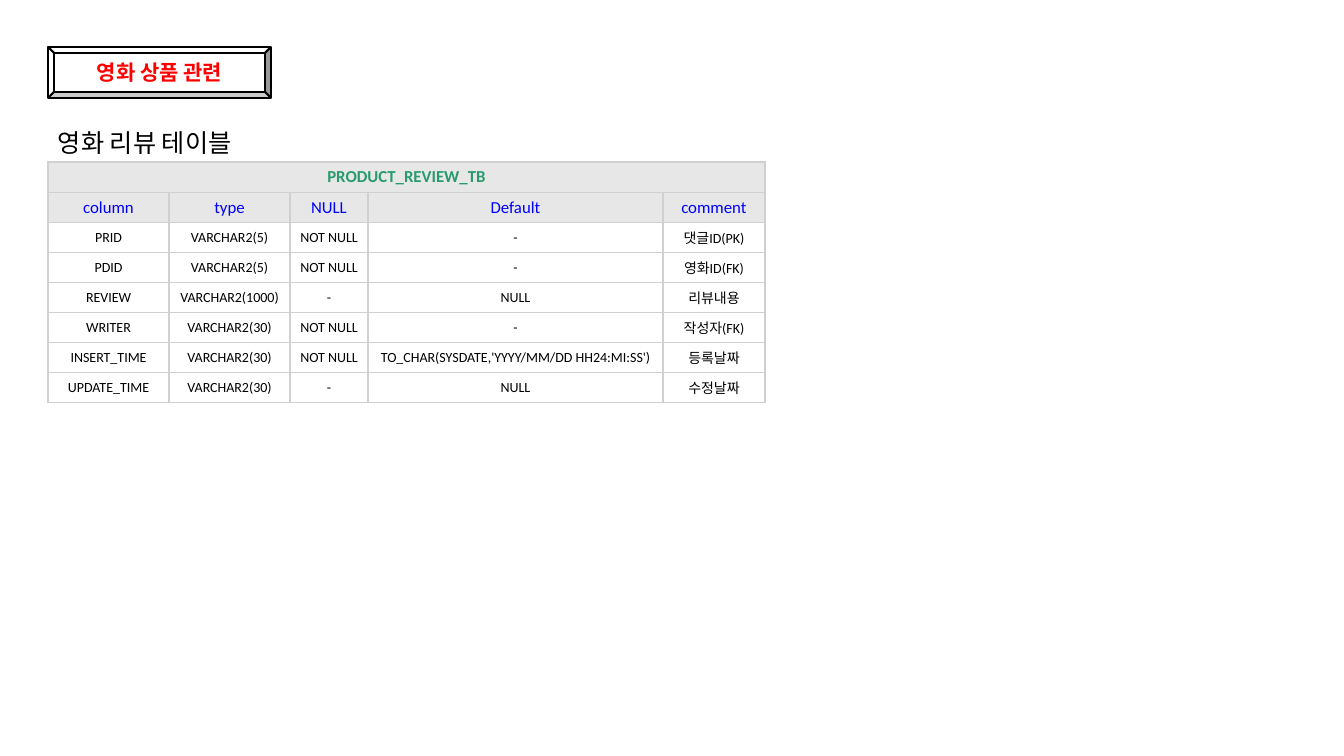
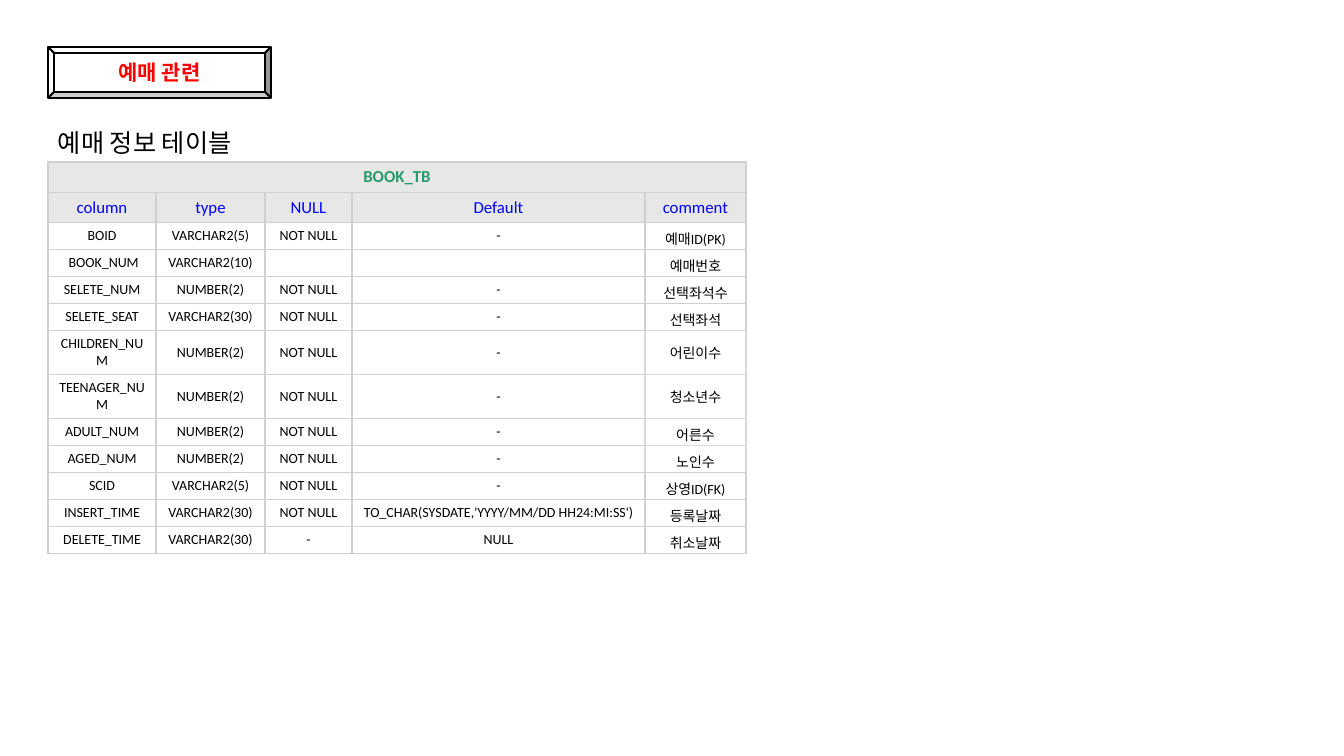
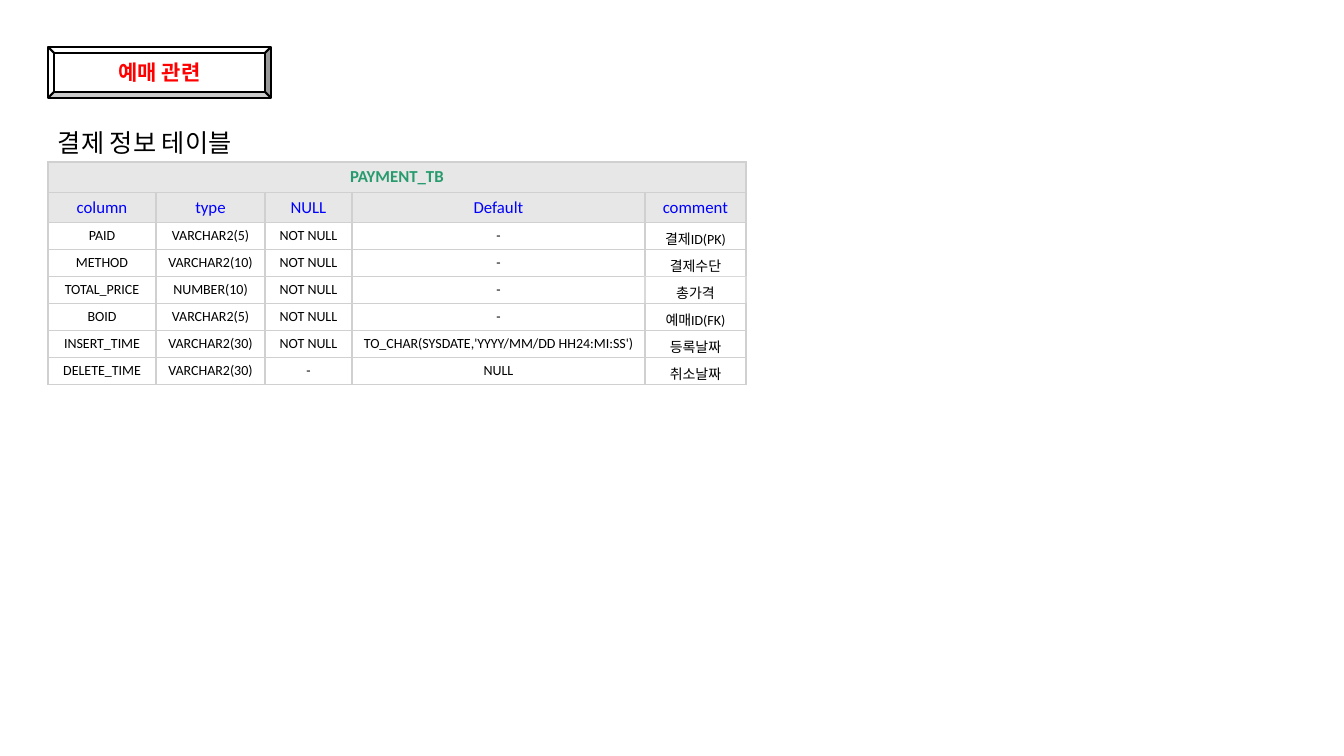
import pptx
import pptx.util
import pptx.dml.color
import pptx.enum.shapes
import pptx.enum.text
import lxml.etree
from pptx.oxml.ns import qn

SCALE = 914400 / 100.8
FONT = "Calibri"
WHITE, BLACK, RED, BLUE, GREEN = "FFFFFF", "000000", "FF0000", "0000FF", "289B6E"
GREY, EDGE, PALE = "E7E7E7", "D0D0D0", "D9D9D9"
LEFT, TOP, HEAD = 48, 162, 30
ALIGN = pptx.enum.text.PP_ALIGN
MIDDLE = pptx.enum.text.MSO_ANCHOR.MIDDLE

FIELDS = ("column", "type", "NULL", "Default", "comment")
NOW = "TO_CHAR(SYSDATE,'YYYY/MM/DD HH24:MI:SS')"
ADDED = ("INSERT_TIME", "VARCHAR2(30)", "NOT NULL", NOW, "등록날짜")
GONE = ("DELETE_TIME", "VARCHAR2(30)", "-", "NULL", "취소날짜")
WIDE = dict(cols=(121, 121, 78, 295, 102), row=30)
TIGHT = dict(cols=(108, 109, 87, 293, 101), row=27)

SLIDES = [
    dict(label="영화 상품 관련", title="영화 리뷰 테이블", name="PRODUCT_REVIEW_TB",
         grid=WIDE, tall=(), pale=(), rows=[
             ("PRID", "VARCHAR2(5)", "NOT NULL", "-", "댓글ID(PK)"),
             ("PDID", "VARCHAR2(5)", "NOT NULL", "-", "영화ID(FK)"),
             ("REVIEW", "VARCHAR2(1000)", "-", "NULL", "리뷰내용"),
             ("WRITER", "VARCHAR2(30)", "NOT NULL", "-", "작성자(FK)"),
             ADDED,
             ("UPDATE_TIME", "VARCHAR2(30)", "-", "NULL", "수정날짜"),
         ]),
    dict(label="예매 관련", title="예매 정보 테이블", name="BOOK_TB", grid=TIGHT,
         tall=("CHILDREN_NUM", "TEENAGER_NUM"),
         pale=("어린이수", "청소년수", "어른수", "노인수"), rows=[
             ("BOID", "VARCHAR2(5)", "NOT NULL", "-", "예매ID(PK)"),
             (" BOOK_NUM", "VARCHAR2(10)", "", "", "예매번호"),
             ("SELETE_NUM", "NUMBER(2)", "NOT NULL", "-", "선택좌석수"),
             ("SELETE_SEAT", "VARCHAR2(30)", "NOT NULL", "-", "선택좌석"),
             ("CHILDREN_NUM", "NUMBER(2)", "NOT NULL", "-", "어린이수"),
             ("TEENAGER_NUM", "NUMBER(2)", "NOT NULL", "-", "청소년수"),
             ("ADULT_NUM", "NUMBER(2)", "NOT NULL", "-", "어른수"),
             ("AGED_NUM", "NUMBER(2)", "NOT NULL", "-", "노인수"),
             ("SCID", "VARCHAR2(5)", "NOT NULL", "-", "상영ID(FK)"),
             ADDED, GONE,
         ]),
    dict(label="예매 관련", title="결제 정보 테이블", name="PAYMENT_TB", grid=TIGHT,
         tall=(), pale=("총가격",), rows=[
             ("PAID", "VARCHAR2(5)", "NOT NULL", "-", "결제ID(PK)"),
             ("METHOD", "VARCHAR2(10)", "NOT NULL", "-", "결제수단"),
             ("TOTAL_PRICE", "NUMBER(10)", "NOT NULL", "-", "총가격"),
             ("BOID", "VARCHAR2(5)", "NOT NULL", "-", "예매ID(FK)"),
             ADDED, GONE,
         ]),
]


def px(size):
    return pptx.util.Emu(round(size * SCALE))


def rgb(code):
    return pptx.dml.color.RGBColor.from_string(code)


def paint(shape, code):
    shape.fill.solid()
    shape.fill.fore_color.rgb = rgb(code)


def write(frame, text, size, code, bold=False, align=ALIGN.CENTER):
    frame.text = text
    para = frame.paragraphs[0]
    para.alignment = align
    for run in para.runs:
        run.font.name = FONT
        run.font.size = pptx.util.Pt(size)
        run.font.bold = bold
        run.font.color.rgb = rgb(code)
    if not text:
        # An empty cell needs its own text size, or its row grows.
        lxml.etree.SubElement(para._p, qn("a:endParaRPr"), sz=str(size * 100))


def edge(cell, code):
    """Draw a 1 pt border on all four sides; call before the fill is set."""
    props = cell._tc.get_or_add_tcPr()
    for side in ("a:lnL", "a:lnR", "a:lnT", "a:lnB"):
        line = lxml.etree.SubElement(props, qn(side), w="12700")
        fill = lxml.etree.SubElement(line, qn("a:solidFill"))
        lxml.etree.SubElement(fill, qn("a:srgbClr"), val=code)


def add_label(slide, text):
    bevel = pptx.enum.shapes.MSO_SHAPE.BEVEL
    box = slide.shapes.add_shape(bevel, px(LEFT), px(47), px(223), px(51))
    box.adjustments[0] = 0.125
    box.shadow.inherit = False
    paint(box, WHITE)
    box.line.color.rgb = rgb(BLACK)
    box.line.width = pptx.util.Pt(1.5)
    box.text_frame.vertical_anchor = MIDDLE
    write(box.text_frame, text, 15, RED, True)


def add_title(slide, text):
    box = slide.shapes.add_textbox(px(LEFT), px(122), px(300), px(40))
    box.text_frame.word_wrap = True
    write(box.text_frame, text, 18, BLACK, align=ALIGN.LEFT)


def add_grid(slide, page):
    cols, row = page["grid"]["cols"], page["grid"]["row"]
    lines = [(page["name"], "", "", "", ""), FIELDS] + page["rows"]
    highs = [HEAD, HEAD] + [44 if line[0] in page["tall"] else row
                            for line in page["rows"]]
    table = slide.shapes.add_table(len(lines), len(cols), px(LEFT), px(TOP),
                                   px(sum(cols)), px(sum(highs))).table
    table.first_row = table.horz_banding = False
    for col, wide in zip(table.columns, cols):
        col.width = px(wide)
    for i, (line, high) in enumerate(zip(lines, highs)):
        table.rows[i].height = px(high)
        for j, text in enumerate(line):
            cell = table.cell(i, j)
            edge(cell, PALE if text in page["pale"] else EDGE)
            paint(cell, GREY if i < 2 else WHITE)
            cell.vertical_anchor = MIDDLE
            if high < HEAD and j == len(cols) - 1:
                cell.margin_bottom = 0
            size, code = (12, (GREEN, BLUE)[i]) if i < 2 else (10, BLACK)
            write(cell.text_frame, text, size, code, i == 0)
    table.cell(0, 0).merge(table.cell(0, len(cols) - 1))


def main():
    deck = pptx.Presentation()
    deck.slide_width, deck.slide_height = px(1344), px(756)
    for page in SLIDES:
        slide = deck.slides.add_slide(deck.slide_layouts[6])
        add_label(slide, page["label"])
        add_title(slide, page["title"])
        add_grid(slide, page)
    deck.save("out.pptx")


if __name__ == "__main__":
    main()
